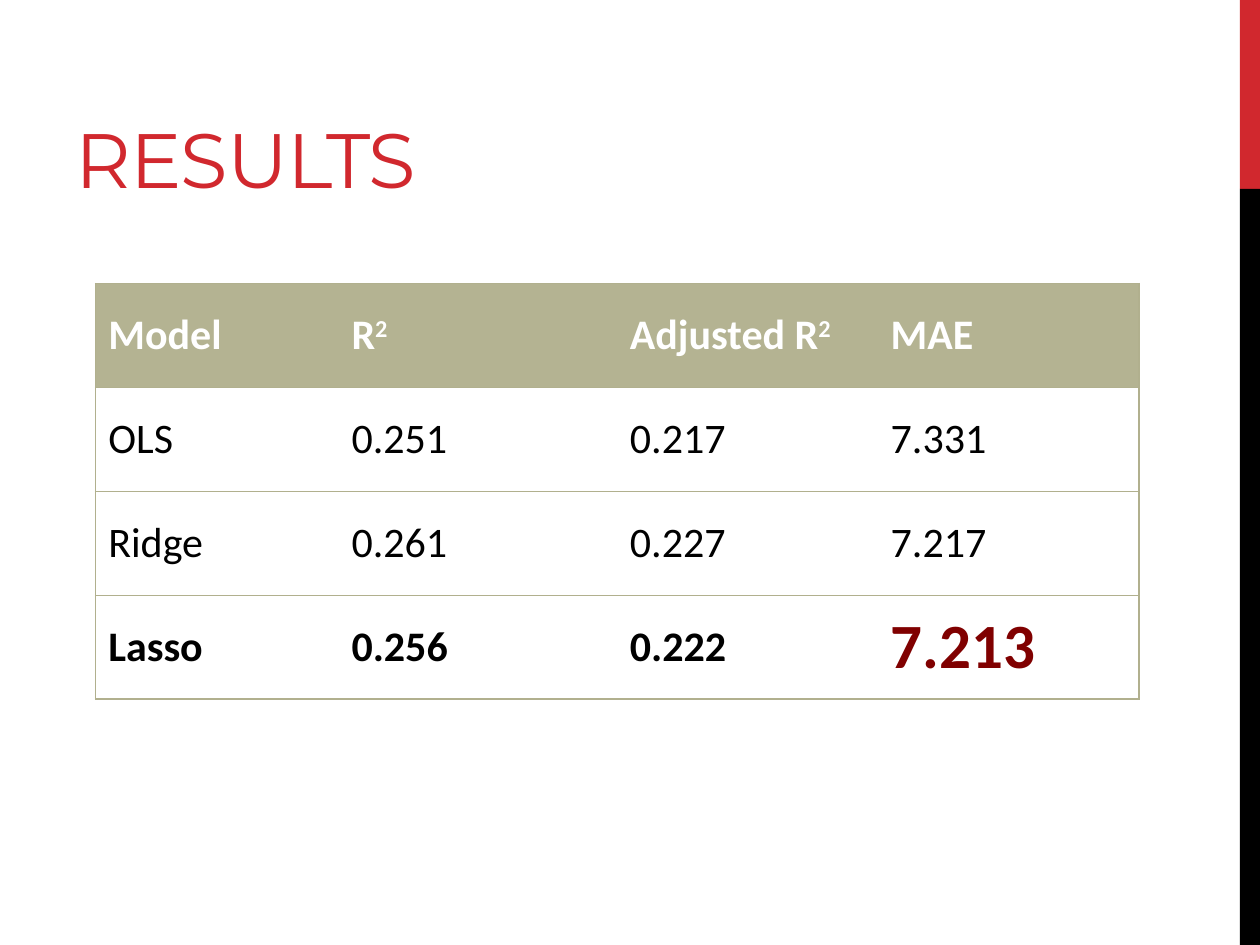
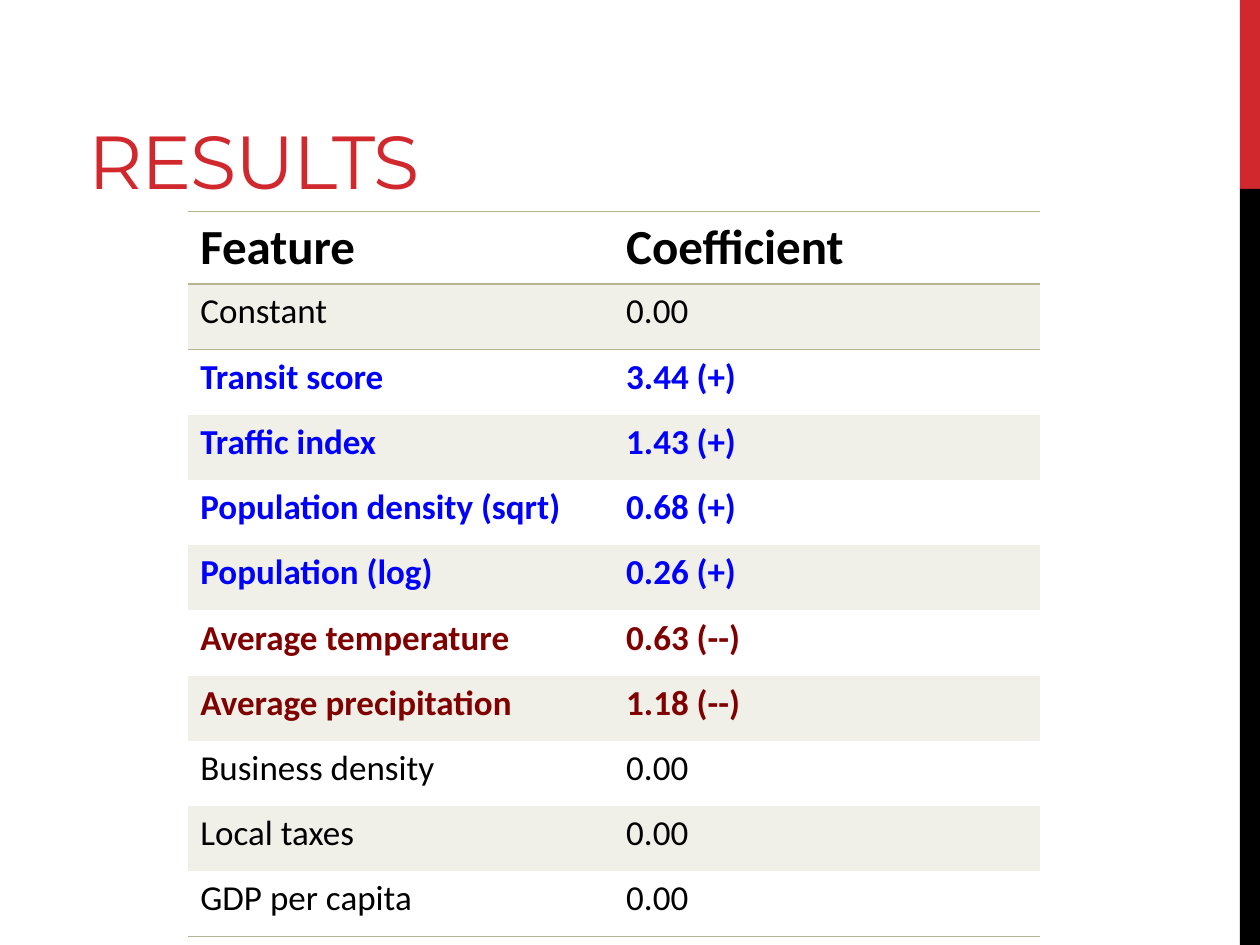
from lxml import etree
from pptx import Presentation
from pptx.dml.color import RGBColor
from pptx.enum.shapes import MSO_SHAPE
from pptx.enum.text import MSO_ANCHOR, MSO_AUTO_SIZE, PP_ALIGN
from pptx.oxml.ns import qn
from pptx.util import Inches, Pt

RECT = MSO_SHAPE.RECTANGLE
TOP, MIDDLE, BOTTOM = MSO_ANCHOR.TOP, MSO_ANCHOR.MIDDLE, MSO_ANCHOR.BOTTOM
LEFT = PP_ALIGN.LEFT
NO_FIT = MSO_AUTO_SIZE.NONE

COLORS = {
    "red": "D1282E", "black": "000000", "white": "FFFFFF",
    "olive": "B4B392", "rule": "B1B08E", "stripe": "F0F0E9",
    "positive": "0000FF", "negative": "800000",
}
TITLE_FONT, BODY_FONT = "Montserrat", "Calibri"
PLAIN_TABLE = "{2D5ABB26-0587-4C30-8999-92F81FD0307C}"


def rgb(name):
    return RGBColor.from_string(COLORS[name])


class Deck:
    """Holds the shared style and the current slide."""

    def __init__(self):
        self.prs = Presentation()
        self.prs.slide_width, self.prs.slide_height = Inches(10), Inches(7.5)
        self.slide = None

    def new_slide(self, title, left, width, size):
        self.slide = self.prs.slides.add_slide(self.prs.slide_layouts[5])
        self.band(0, 1.5, "red")
        self.band(1.5, 6, "black")
        self.title(title, left, width, size)

    def band(self, top, height, color):
        sp = self.slide.shapes.add_shape(
            RECT, Inches(9.84), Inches(top), Inches(0.16), Inches(height))
        sp.shadow.inherit = False
        sp.fill.solid()
        sp.fill.fore_color.rgb = rgb(color)
        sp.line.fill.background()

    def title(self, text, left, width, size):
        sp = self.slide.shapes.title
        sp.left, sp.top = Inches(left), Inches(0.17)
        sp.width, sp.height = Inches(width), Inches(1.5)
        tf = sp.text_frame
        tf.word_wrap, tf.auto_size, tf.vertical_anchor = True, NO_FIT, BOTTOM
        p = tf.paragraphs[0]
        p.alignment = LEFT
        r = p.add_run()
        r.text = text
        r.font._element.set("spc", "-60")
        self.font(p, size, "red", name=TITLE_FONT)

    def font(self, p, size, color, bold=False, name=BODY_FONT):
        p.font.name, p.font.size, p.font.bold = name, Pt(size), bold
        p.font.color.rgb = rgb(color)

    def table(self, left, top, widths, heights):
        frame = self.slide.shapes.add_table(
            len(heights), len(widths), Inches(left), Inches(top),
            Inches(sum(widths)), Inches(sum(heights)))
        next(frame.element.iter(qn("a:tableStyleId"))).text = PLAIN_TABLE
        table = frame.table
        table.first_row = table.horz_banding = False
        for col, width in zip(table.columns, widths):
            col.width = Inches(width)
        for row, height in zip(table.rows, heights):
            row.height = Inches(height)
        return table

    def cell(self, cell, text, size, color, bold, anchor, fill=None):
        """Fill in a cell; text after ^ is superscript."""
        cell.vertical_anchor = anchor
        if fill:
            cell.fill.solid()
            cell.fill.fore_color.rgb = rgb(fill)
        else:
            cell.fill.background()
        p = cell.text_frame.paragraphs[0]
        for i, part in enumerate(text.split("^")):
            r = p.add_run()
            r.text = part
            if i:
                r.font._element.set("baseline", "30000")
        self.font(p, size, color, bold)

    def borders(self, cell, sides, color):
        """Draw the sides named by letters, given in the order LRTB."""
        tc_pr = cell._tc.get_or_add_tcPr()
        for i, side in enumerate(sides):
            ln = etree.Element(qn(f"a:ln{side}"), w=str(Pt(1)))
            fill = etree.SubElement(ln, qn("a:solidFill"))
            etree.SubElement(fill, qn("a:srgbClr"), val=COLORS[color])
            tc_pr.insert(i, ln)


def model_results(deck):
    deck.new_slide("RESULTS", 0.5, 8.92, 44)
    models = [
        ("Model", "R^2", "Adjusted R^2", "MAE"),
        ("OLS", "0.251", "0.217", "7.331"),
        ("Ridge", "0.261", "0.227", "7.217"),
        ("Lasso", "0.256", "0.222", "7.213"),
    ]
    table = deck.table(0.76, 2.25, [1.93, 2.21, 2.07, 2.07], [0.825] * len(models))
    last_row, last_col = len(models) - 1, len(models[0]) - 1
    for i, row in enumerate(models):
        for j, text in enumerate(row):
            cell = table.cell(i, j)
            header, best = i == 0, (i, j) == (last_row, last_col)
            color = "white" if header else "negative" if best else "black"
            deck.cell(cell, text, 36 if best else 24, color,
                      i in (0, last_row), MIDDLE, "olive" if header else None)
            sides = ("L" if j == 0 else "") + ("R" if j == last_col else "") + "TB"
            deck.borders(cell, sides, "rule")


def feature_results(deck):
    deck.new_slide("RESULTS", 0.6, 8.83, 42.9)
    features = [
        ("Constant", "0.00", "black"),
        ("Transit score", "3.44 (+)", "positive"),
        ("Traffic index", "1.43 (+)", "positive"),
        ("Population density (sqrt)", "0.68 (+)", "positive"),
        ("Population (log)", "0.26 (+)", "positive"),
        ("Average temperature", "0.63 (--)", "negative"),
        ("Average precipitation", "1.18 (--)", "negative"),
        ("Business density", "0.00", "black"),
        ("Local taxes", "0.00", "black"),
        ("GDP per capita", "0.00", "black"),
    ]
    count = len(features)
    table = deck.table(1.49, 1.68, [3.38] * 2, [0.57] + [5.18 / count] * count)

    # Header row
    for j, text in enumerate(("Feature", "Coefficient")):
        deck.cell(table.cell(0, j), text, 28, "black", True, TOP)
        deck.borders(table.cell(0, j), "TB", "olive")

    # Striped feature rows
    for i, (*texts, color) in enumerate(features, 1):
        for j, text in enumerate(texts):
            cell = table.cell(i, j)
            deck.cell(cell, text, 20, color, color != "black", TOP,
                      "stripe" if i % 2 else None)
            sides = "T" if i == 1 else "B" if i == count else ""
            deck.borders(cell, sides, "olive")


def main():
    deck = Deck()
    model_results(deck)
    feature_results(deck)
    deck.prs.save("out.pptx")


if __name__ == "__main__":
    main()
